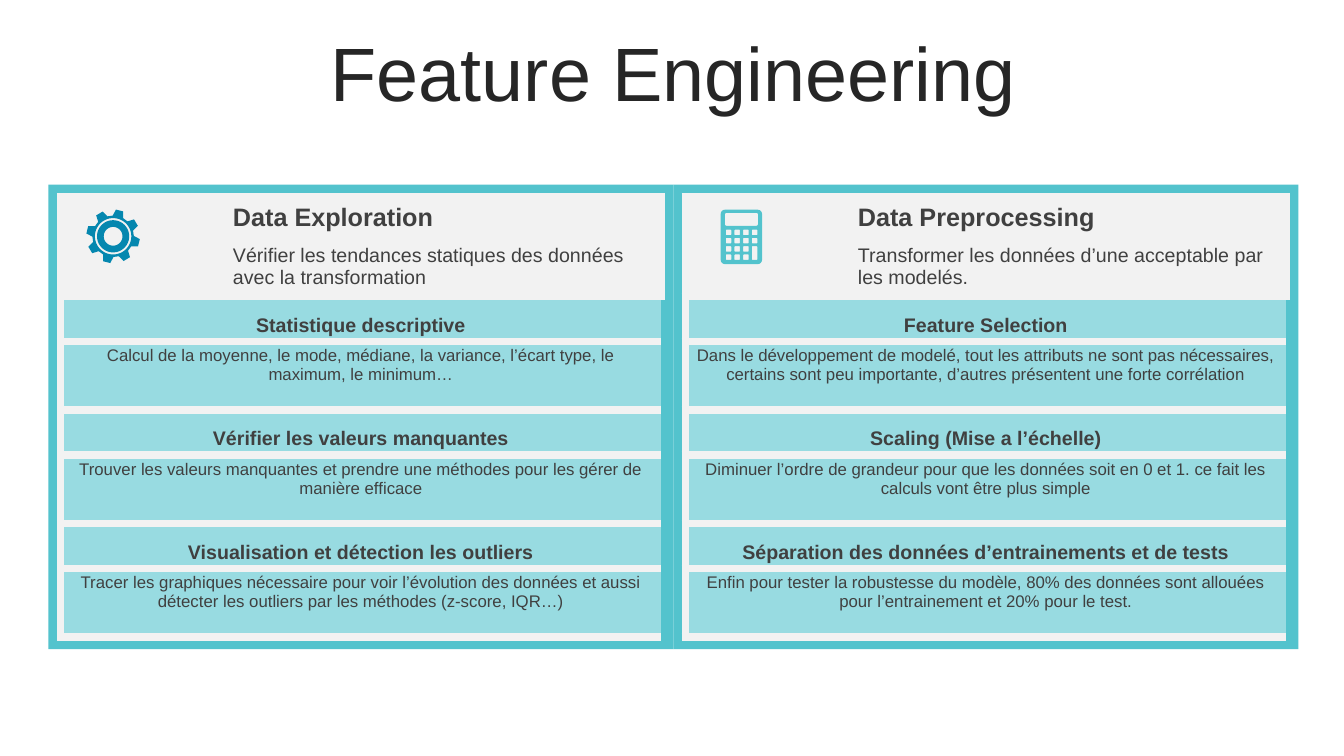
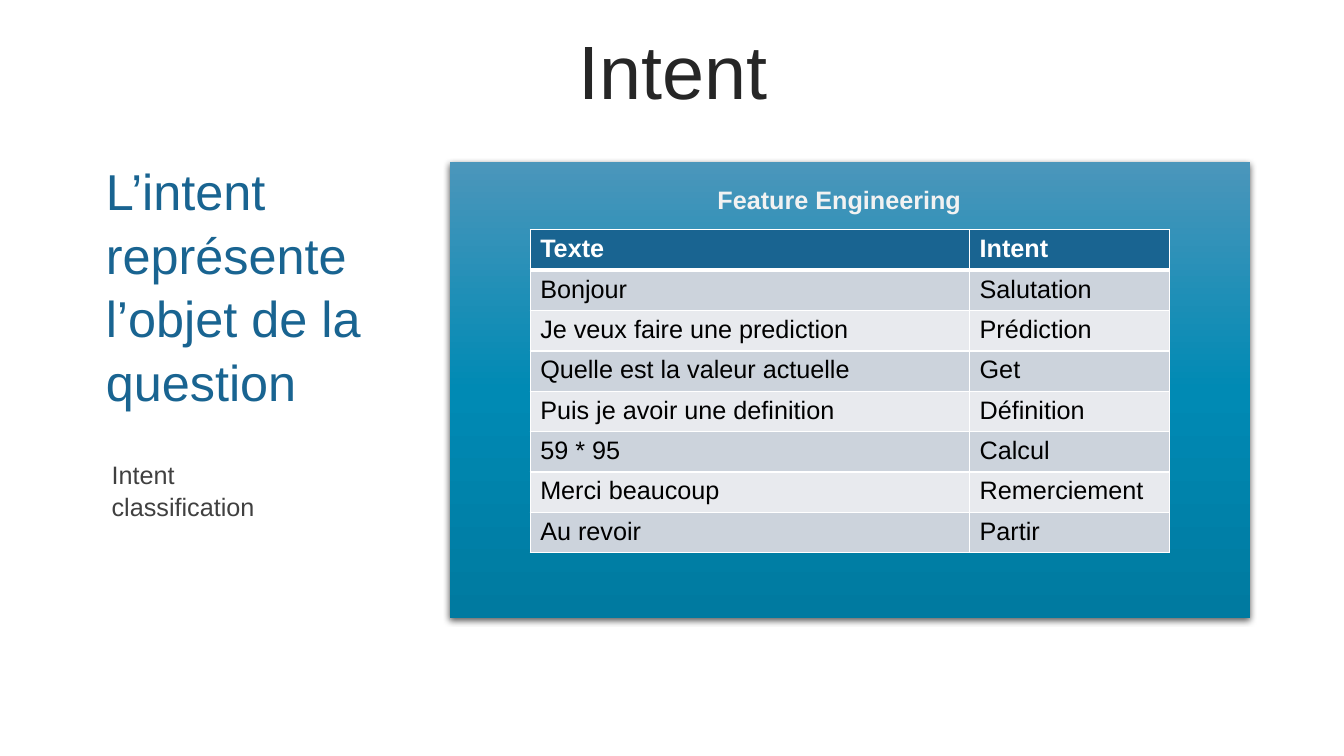
from copy import deepcopy
from math import cos, pi, sin

from lxml.etree import SubElement
from pptx import Presentation
from pptx.dml.color import RGBColor
from pptx.enum.shapes import MSO_SHAPE as SHAPE
from pptx.enum.text import MSO_ANCHOR as ANCHOR, PP_ALIGN as ALIGN
from pptx.oxml.ns import qn
from pptx.util import Pt

FONT = "Arial"
COLORS = {
    "title": "262626", "body": "404040", "black": "000000", "white": "FFFFFF",
    "frame": "53C3CD", "band": "98DBE1", "light": "F2F2F2", "gear": "0587AF",
    "navy": "196491", "row_dark": "CCD3DC", "row_light": "E8EAEE",
    "panel_top": "4B96BB", "panel_middle": "008AB4", "panel_bottom": "007AA0",
}
NO_STYLE_ID = "{2D5ABB26-0587-4C30-8999-92F81FD0307C}"

PHASES = [
    ("Data Exploration",
     "Vérifier les tendances statiques des données avec la transformation",
     [("Statistique descriptive",
       "Calcul de la moyenne, le mode, médiane, la variance, l’écart type, le maximum, le minimum…"),
      ("Vérifier les valeurs manquantes",
       "Trouver les valeurs manquantes et prendre une méthodes pour les gérer de manière efficace"),
      ("Visualisation et détection les outliers",
       "Tracer les graphiques nécessaire pour voir l’évolution des données et aussi "
       "détecter les outliers par les méthodes (z-score, IQR…)")]),
    ("Data Preprocessing",
     "Transformer les données d’une acceptable par les modelés.",
     [("Feature Selection",
       "Dans le développement de modelé, tout les attributs ne sont pas nécessaires, "
       "certains sont peu importante, d’autres présentent une forte corrélation"),
      ("Scaling (Mise a l’échelle)",
       "Diminuer l’ordre de grandeur pour que les données soit en 0 et 1. ce fait les "
       "calculs vont être plus simple"),
      ("Séparation des données d’entrainements et de tests",
       "Enfin pour tester la robustesse du modèle, 80% des données sont allouées pour "
       "l’entrainement et 20% pour le test.")]),
]
INTENTS = [
    ("Texte", "Intent"),
    ("Bonjour", "Salutation"),
    ("Je veux faire une prediction", "Prédiction"),
    ("Quelle est la valeur actuelle", "Get"),
    ("Puis je avoir une definition", "Définition"),
    ("59 * 95", "Calcul"),
    ("Merci beaucoup", "Remerciement"),
    ("Au revoir", "Partir"),
]


def rgb(color):
    return RGBColor.from_string(COLORS[color])


def write(frame, text, size=18, color="body", bold=False, align=ALIGN.LEFT, spacing=None):
    paragraph = frame.paragraphs[0]
    paragraph.alignment = align
    if spacing:
        paragraph.line_spacing = spacing
    run = paragraph.add_run()
    run.text = text
    font = run.font
    font.name, font.size, font.bold = FONT, Pt(size), bold
    font.color.rgb = rgb(color)


def add_text(slide, box, text, anchor=ANCHOR.TOP, insets=(7.2, 3.6), **text_format):
    frame = slide.shapes.add_textbox(*map(Pt, box)).text_frame
    frame.word_wrap = True
    frame.vertical_anchor = anchor
    frame.margin_left = frame.margin_right = Pt(insets[0])
    frame.margin_top = frame.margin_bottom = Pt(insets[1])
    write(frame, text, **text_format)


def add_title(slide, text, top):
    add_text(slide, (25.2, top, 911.5, 56.9), text, anchor=ANCHOR.MIDDLE,
             size=54, color="title", align=ALIGN.CENTER, spacing=0.9)


def paint(shape, color):
    shape.shadow.inherit = False
    shape.line.fill.background()
    shape.fill.solid()
    shape.fill.fore_color.rgb = rgb(color)


def add_plain_table(slide, left, top, widths, heights):
    table = slide.shapes.add_table(len(heights), len(widths), Pt(left), Pt(top),
                                   Pt(sum(widths)), Pt(sum(heights))).table
    table.first_row = table.horz_banding = False
    table._tbl.tblPr.find(qn("a:tableStyleId")).text = NO_STYLE_ID
    for column, width in zip(table.columns, widths):
        column.width = Pt(width)
    for row, height in zip(table.rows, heights):
        row.height = Pt(height)
    return table


def format_cell(cell, fill, line, borders):
    """Fill a cell and draw borders, given as {side: points} with sides L, R, T, B."""
    properties = cell._tc.get_or_add_tcPr()
    for side in "LRTB":
        if side in borders:
            border = SubElement(properties, qn(f"a:ln{side}"), w=str(Pt(borders[side])))
            solid = SubElement(border, qn("a:solidFill"))
            SubElement(solid, qn("a:srgbClr"), val=COLORS[line])
    cell.fill.solid()
    cell.fill.fore_color.rgb = rgb(fill)


def add_outline(slide, contours, color):
    """Draw closed contours as one shape; nested contours become holes."""
    contours = [[(Pt(x), Pt(y)) for x, y in contour] for contour in contours]
    builder = slide.shapes.build_freeform(*contours[0][0])
    for index, (start, *rest) in enumerate(contours):
        if index:
            builder.move_to(*start)
        builder.add_line_segments(rest, close=True)
    paint(builder.convert_to_shape(), color)


def polar(center, radius, degrees):
    angle = degrees * pi / 180
    return center[0] + radius * cos(angle), center[1] + radius * sin(angle)


def circle(center, radius):
    return [polar(center, radius, degrees) for degrees in range(0, 360, 6)]


def rounded_rectangle(x, y, width, height, radius):
    corners = [(x + width - radius, y + height - radius), (x + radius, y + height - radius),
               (x + radius, y + radius), (x + width - radius, y + radius)]
    return [polar(corner, radius, quarter * 90 + step)
            for quarter, corner in enumerate(corners) for step in range(0, 91, 15)]


def add_gear(slide):
    center = (80.8, 168.8)
    tooth = [(-15, 14.8), (-8, 19.2), (8, 19.2), (15, 14.8)]
    teeth = [polar(center, radius, 45 * index - 76 + offset)
             for index in range(8) for offset, radius in tooth]
    rings = [circle(center, radius) for radius in (13, 11.5, 6.7)]
    add_outline(slide, [teeth, *rings], "gear")


def add_calculator(slide):
    body = rounded_rectangle(514.8, 149.8, 29.5, 38.8, 3)
    screen = rounded_rectangle(517.7, 152, 23.8, 9.3, 1.4)
    key, pitch = 4, (6.2, 5.9)
    keys = []
    for column in range(4):
        for row in range(4):
            if (column, row) == (3, 3):
                continue
            height = key + pitch[1] if (column, row) == (3, 2) else key
            keys.append(rounded_rectangle(518.4 + column * pitch[0], 164 + row * pitch[1],
                                          key, height, 0.6))
    add_outline(slide, [body, screen, *keys], "frame")


def add_phase(slide, left, heading, summary, steps):
    frame = slide.shapes.add_shape(SHAPE.RECTANGLE, Pt(left), Pt(131.8), Pt(446.4), Pt(331.9))
    paint(frame, "frame")
    table = add_plain_table(slide, left + 8.6, 140.4, [116, 313.2],
                            [28.8, 42.5] + [32.3, 48.8] * len(steps))
    rows = [(heading, 18, True, ANCHOR.BOTTOM), (summary, 14, False, ANCHOR.MIDDLE)]
    for name, detail in steps:
        rows += [(name, 14, True, ANCHOR.BOTTOM), (detail, 12, False, ANCHOR.TOP)]

    table.cell(0, 0).merge(table.cell(1, 0))
    for index, (text, size, bold, anchor) in enumerate(rows):
        is_header = index < 2
        outer_edge = "TB" if is_header else "TB"[index % 2]
        for column, side in enumerate("LR"):
            format_cell(table.cell(index, column), "light" if is_header else "band",
                        "light", dict.fromkeys(side + outer_edge, 6))
        if not is_header:
            table.cell(index, 0).merge(table.cell(index, 1))
        cell = table.cell(index, 1 if is_header else 0)
        cell.vertical_anchor = anchor
        write(cell.text_frame, text, size=size, bold=bold,
              align=ALIGN.LEFT if is_header else ALIGN.CENTER)


def add_gradient_panel(slide, box):
    panel = slide.shapes.add_shape(SHAPE.RECTANGLE, *map(Pt, box))
    panel.line.fill.background()
    panel.fill.gradient()
    panel.fill.gradient_angle = 270
    stop_list = panel._element.spPr.find(qn("a:gradFill")).find(qn("a:gsLst"))
    stop_list.append(deepcopy(stop_list[-1]))
    stops = zip(panel.fill.gradient_stops, (0, 0.5, 1),
                ("panel_top", "panel_middle", "panel_bottom"))
    for stop, position, color in stops:
        stop.position = position
        stop.color.rgb = rgb(color)
    effects = SubElement(panel._element.spPr, qn("a:effectLst"))
    shadow = SubElement(effects, qn("a:outerShdw"), blurRad=str(Pt(4.5)), dist=str(Pt(1.5)),
                        dir="5400000", algn="ctr", rotWithShape="0")
    shade = SubElement(shadow, qn("a:srgbClr"), val=COLORS["black"])
    SubElement(shade, qn("a:alpha"), val="63000")


def add_intent_table(slide):
    table = add_plain_table(slide, 378.7, 164.2, [313.9, 142.6], [28.8] * len(INTENTS))
    for row, texts in enumerate(INTENTS):
        is_header = row == 0
        fill = "navy" if is_header else ("row_light", "row_dark")[row % 2]
        borders = {"L": 1, "R": 1, "T": 3 if row == 1 else 1, "B": 3 if is_header else 1}
        for column, text in enumerate(texts):
            cell = table.cell(row, column)
            format_cell(cell, fill, "white", borders)
            write(cell.text_frame, text, bold=is_header,
                  color="white" if is_header else "black")


def build_feature_slide(slide):
    add_title(slide, "Feature Engineering", 26.6)
    for index, phase in enumerate(PHASES):
        add_phase(slide, 34.6 + index * 446.4, *phase)
    add_gear(slide)
    add_calculator(slide)


def build_intent_slide(slide):
    add_title(slide, "Intent", 25.2)
    add_text(slide, (72.7, 115.9, 240.5, 174.2), "L’intent représente l’objet de la question",
             anchor=ANCHOR.MIDDLE, insets=(2.9, 0), size=36, color="navy", spacing=1.05)
    add_text(slide, (72.7, 323.3, 165.6, 51.1), "Intent classification", spacing=1.05)
    add_gradient_panel(slide, (321.1, 115.9, 571.7, 325.4))
    add_text(slide, (505.4, 128.2, 203, 28.8), "Feature Engineering", color="light", bold=True)
    add_intent_table(slide)


def main():
    deck = Presentation()
    deck.slide_width, deck.slide_height = Pt(960), Pt(540)
    for build in (build_feature_slide, build_intent_slide):
        build(deck.slides.add_slide(deck.slide_layouts[6]))
    deck.save("out.pptx")


if __name__ == "__main__":
    main()
